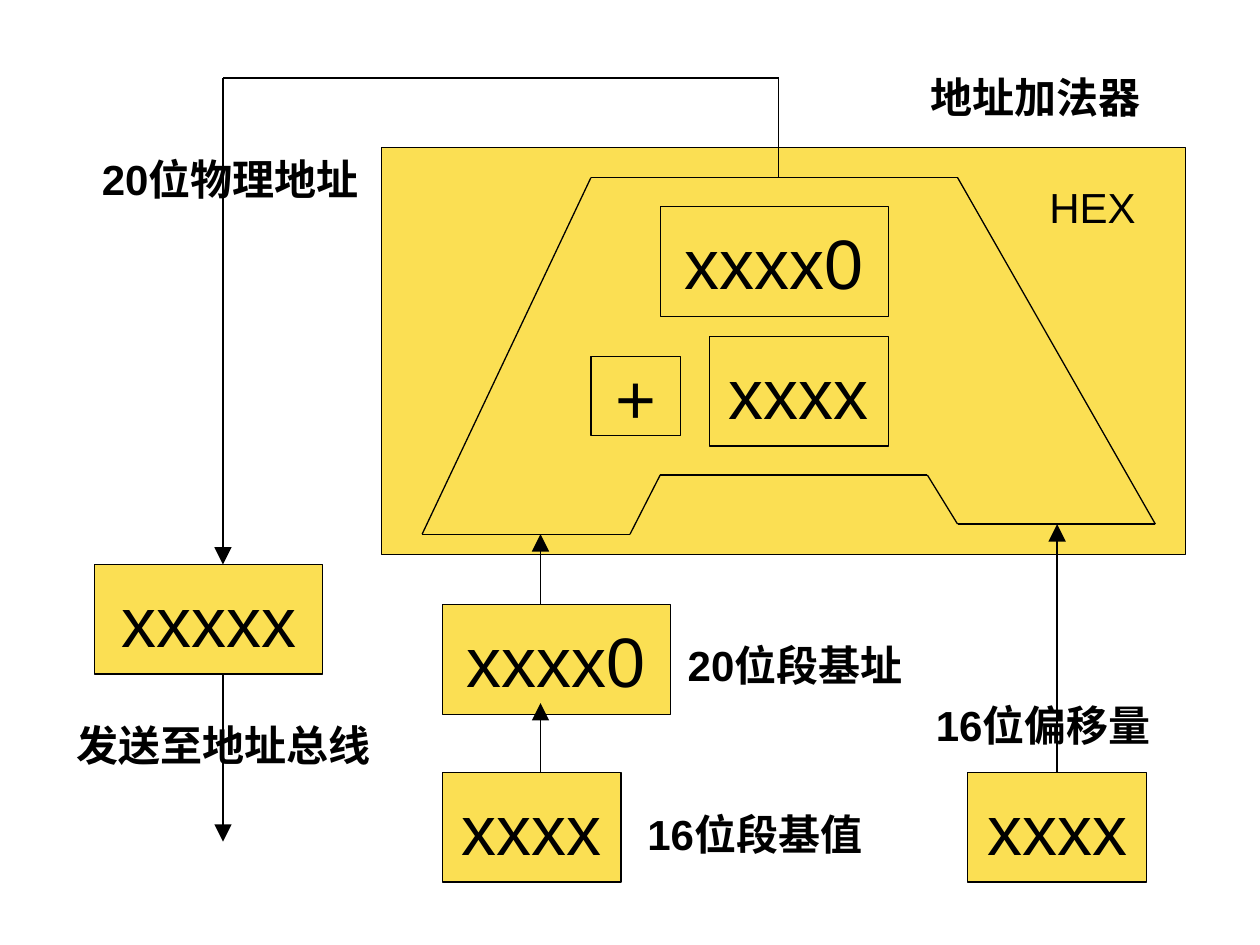
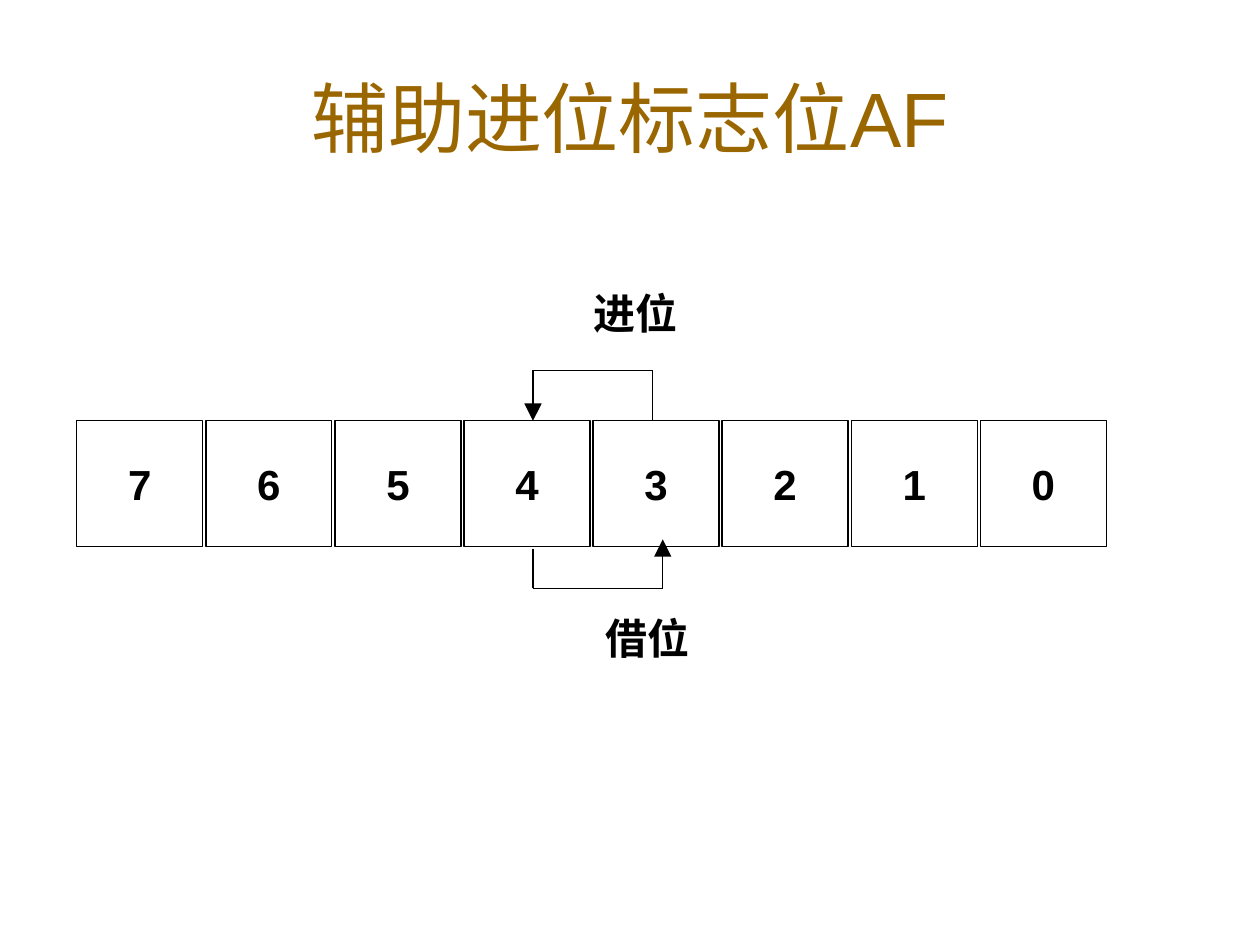
"""Build two slides on the address adder and the auxiliary carry flag."""
import pptx
import pptx.dml.color
import pptx.enum.shapes
import pptx.enum.text
import pptx.oxml.ns
import pptx.util
from lxml import etree

Inches = pptx.util.Inches
Pt = pptx.util.Pt
ALIGN = pptx.enum.text.PP_ALIGN
ANCHOR = pptx.enum.text.MSO_ANCHOR
AUTO_SIZE = pptx.enum.text.MSO_AUTO_SIZE

BLACK = "000000"
YELLOW = "FBDF53"
BROWN = "996600"
LINE_WIDTH = Pt(0.75)
LABEL_SLACK = 0.15
VALUE_FONT = {"name": "Arial", "size": Pt(40), "bold": False}
LABEL_FONT = {"name": "Arial", "size": Pt(24), "bold": True}
PLAIN_FONT = {**LABEL_FONT, "bold": False}
TITLE_FONT = {"name": "Arial", "size": Pt(44), "bold": False}
BOX_FRAME = {"word_wrap": False, "vertical_anchor": ANCHOR.MIDDLE}
LABEL_FRAME = {"word_wrap": True, "auto_size": AUTO_SIZE.NONE}
TITLE_FRAME = {"word_wrap": True, "vertical_anchor": ANCHOR.MIDDLE}


def rgb(color):
    """Turn a hex string into a colour."""
    return pptx.dml.color.RGBColor.from_string(color)


def apply_format(target, values):
    """Set every attribute named in a dict of format values."""
    for name, value in values.items():
        setattr(target, name, value)


def write_text(shape, text, font, frame, alignment, color=BLACK):
    """Write one formatted paragraph into a shape."""
    apply_format(shape.text_frame, frame)
    paragraph = shape.text_frame.paragraphs[0]
    paragraph.text = text
    paragraph.alignment = alignment
    apply_format(paragraph.font, font)
    paragraph.font.color.rgb = rgb(color)


def outline(shape):
    """Give a shape or connector the thin black line."""
    shape.line.color.rgb = rgb(BLACK)
    shape.line.width = LINE_WIDTH


def add_box(slide, left, top, width, height, text="", fill=YELLOW, font=VALUE_FONT):
    """Add an outlined rectangle with centred text."""
    box = slide.shapes.add_shape(
        pptx.enum.shapes.MSO_SHAPE.RECTANGLE,
        Inches(left), Inches(top), Inches(width), Inches(height))
    box.shadow.inherit = False
    if fill:
        box.fill.solid()
        box.fill.fore_color.rgb = rgb(fill)
    else:
        box.fill.background()
    outline(box)
    if text:
        write_text(box, text, font, BOX_FRAME, ALIGN.CENTER)


def add_label(slide, left, top, width, text, font=LABEL_FONT):
    """Add a text box with enough slack to keep its text on one line."""
    label = slide.shapes.add_textbox(
        Inches(left), Inches(top), Inches(width + LABEL_SLACK), Inches(0.5))
    write_text(label, text, font, LABEL_FRAME, ALIGN.LEFT)


def add_path(slide, points, arrow=True):
    """Join points with straight lines, ending in an arrowhead if asked."""
    for start, end in zip(points, points[1:]):
        connector = slide.shapes.add_connector(
            pptx.enum.shapes.MSO_CONNECTOR.STRAIGHT,
            *(Inches(value) for value in (*start, *end)))
        outline(connector)
        etree.SubElement(connector._element.spPr, pptx.oxml.ns.qn("a:effectLst"))
    if arrow:
        etree.SubElement(connector.line._get_or_add_ln(),
                         pptx.oxml.ns.qn("a:tailEnd"),
                         type="triangle", w="lg", len="lg")


def add_title(slide, text):
    """Place and format the slide title."""
    title = slide.shapes.title
    apply_format(title, {"left": Inches(0.5), "top": Inches(0.3),
                         "width": Inches(9), "height": Inches(1.25)})
    write_text(title, text, TITLE_FONT, TITLE_FRAME, ALIGN.CENTER, BROWN)


def build_address_adder(slide):
    """Draw how segment base and offset form a physical address."""
    add_box(slide, 3.03, 1.17, 6.38, 3.23)
    adder_outline = [(4.69, 1.41), (7.6, 1.41), (9.17, 4.16), (7.6, 4.16),
                     (7.36, 3.77), (5.24, 3.77), (5, 4.24), (3.35, 4.24)]
    add_path(slide, adder_outline + adder_outline[:1], arrow=False)

    wide, narrow, height = 1.81, 1.42, 0.87
    for left, top, width, text in [
            (3.51, 6.13, narrow, "xxxx"), (7.68, 6.13, narrow, "xxxx"),
            (3.51, 4.8, wide, "xxxx0"), (5.24, 1.64, wide, "xxxx0"),
            (5.63, 2.67, narrow, "xxxx"), (0.75, 4.48, wide, "xxxxx")]:
        add_box(slide, left, top, width, height, text)
    add_box(slide, 4.69, 2.83, 0.71, 0.63, "+")

    segment_x, offset_x, bus_x, output_x = 4.29, 8.39, 1.77, 6.18
    for points in [
            [(segment_x, 4.79), (segment_x, 4.24)],
            [(segment_x, 6.13), (segment_x, 5.58)],
            [(offset_x, 6.13), (offset_x, 4.16)],
            [(output_x, 1.41), (output_x, 0.62), (bus_x, 0.62), (bus_x, 4.48)],
            [(bus_x, 5.35), (bus_x, 6.68)]]:
        add_path(slide, points)

    for left, top, width, text in [
            (7.33, 5.5, 1.98, "16位偏移量"), (5.04, 6.37, 1.98, "16位段基值"),
            (5.36, 5.03, 1.98, "20位段基址"), (0.71, 1.17, 2.31, "20位物理地址"),
            (7.29, 0.52, 1.86, "地址加法器"), (0.51, 5.66, 2.53, "发送至地址总线")]:
        add_label(slide, left, top, width, text)
    add_label(slide, 8.23, 1.39, 0.88, "HEX", PLAIN_FONT)


def build_auxiliary_carry(slide):
    """Draw the byte with carry and borrow between bits 3 and 4."""
    add_title(slide, "辅助进位标志位AF")
    first_left, last_left, top_bit = 0.61, 7.78, 7
    pitch = (last_left - first_left) / top_bit
    for position in range(top_bit + 1):
        add_box(slide, first_left + position * pitch, 3.34, 1, 1,
                str(top_bit - position), None, LABEL_FONT)
    add_path(slide, [(5.18, 3.33), (5.18, 2.94), (4.23, 2.94), (4.23, 3.34)])
    add_path(slide, [(4.23, 4.36), (4.23, 4.67), (5.26, 4.67), (5.26, 4.28)])
    add_label(slide, 4.61, 2.23, 0.86, "进位")
    add_label(slide, 4.71, 4.81, 0.86, "借位")


def main():
    """Build and save the presentation."""
    presentation = pptx.Presentation()
    presentation.slide_width = Inches(10)
    presentation.slide_height = Inches(7.5)
    title_only, blank = presentation.slide_layouts[5], presentation.slide_layouts[6]
    build_address_adder(presentation.slides.add_slide(blank))
    build_auxiliary_carry(presentation.slides.add_slide(title_only))
    presentation.save("out.pptx")


if __name__ == "__main__":
    main()
